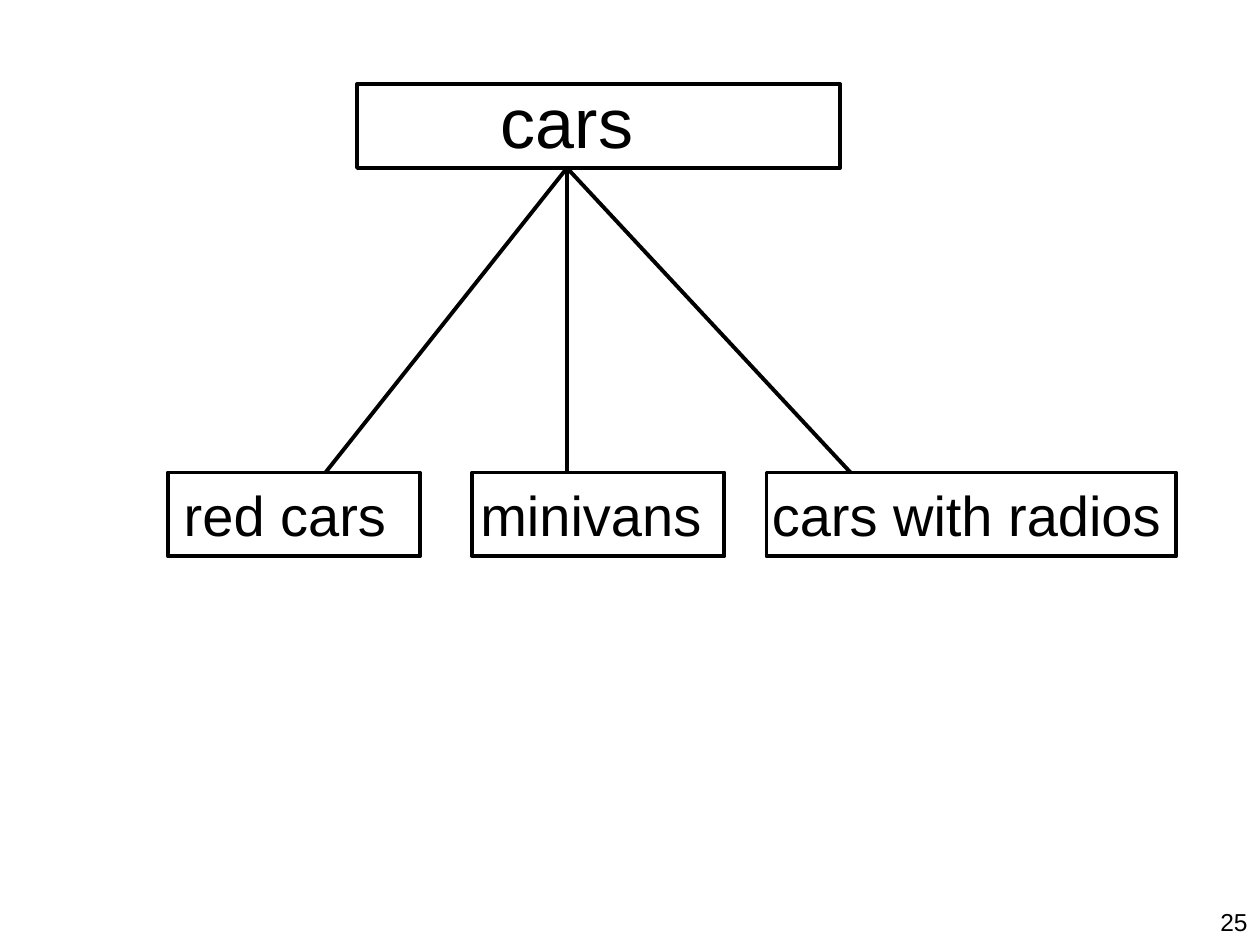
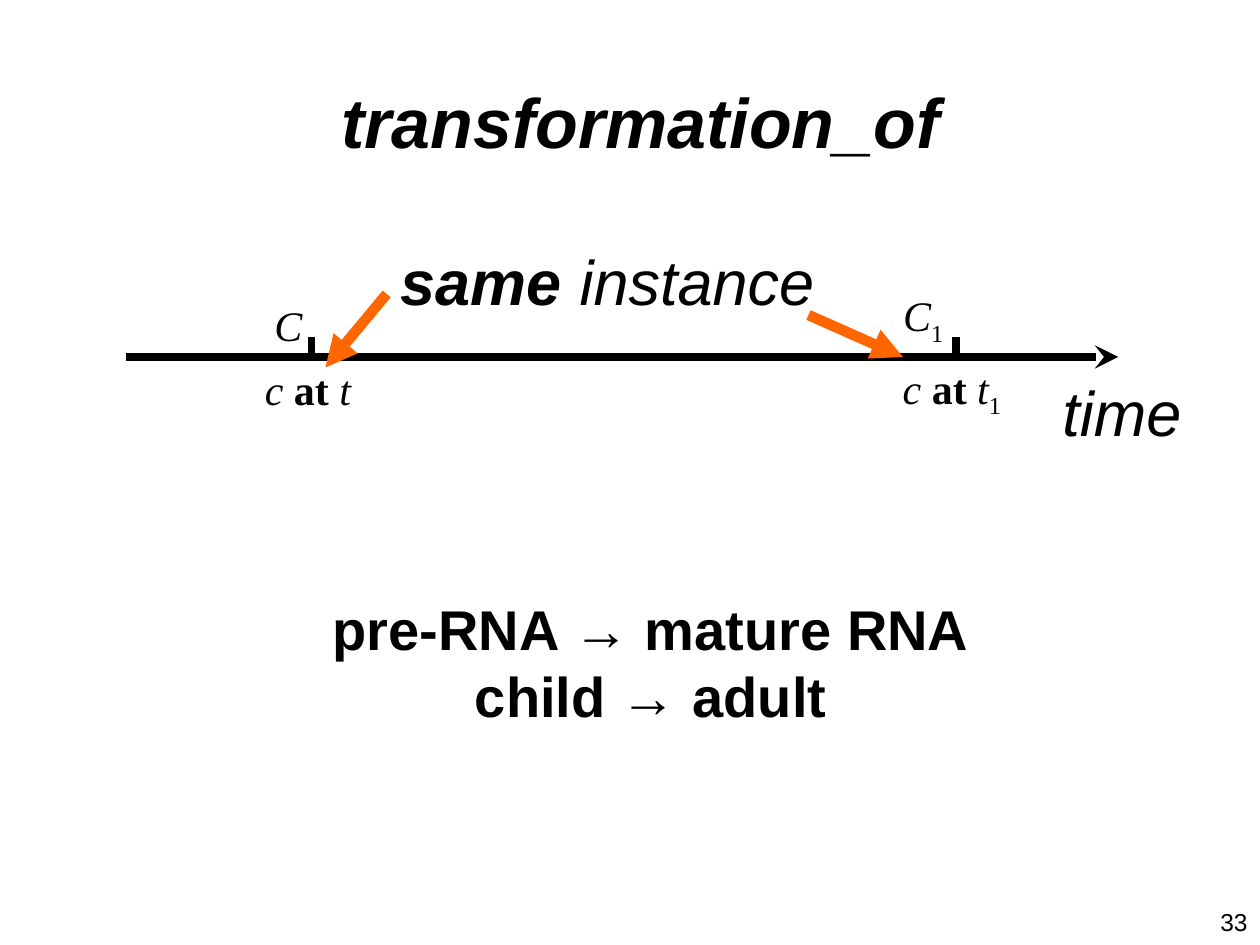
from pptx import Presentation
from pptx.dml.color import RGBColor
from pptx.enum.shapes import MSO_CONNECTOR, MSO_SHAPE
from pptx.enum.text import MSO_ANCHOR, PP_ALIGN
from pptx.oxml.ns import qn
from pptx.util import Pt
from lxml.etree import SubElement

HUES = {"ink": "000000", "mark": "FF6600"}
SANS, SERIF = "Arial", "Times New Roman"
PAD = (7.2, 3.6, 7.2, 3.6)


def color(name):
    return RGBColor.from_string(HUES[name])


def write(shape, lines, size, face=SANS, align=PP_ALIGN.LEFT,
          anchor=MSO_ANCHOR.TOP, pad=PAD, after=0):
    frame = shape.text_frame
    frame.word_wrap = True
    frame.vertical_anchor = anchor
    frame.margin_left, frame.margin_top, frame.margin_right, frame.margin_bottom = map(Pt, pad)
    for n, runs in enumerate(lines):
        para = frame.paragraphs[0] if n == 0 else frame.add_paragraph()
        para.alignment = align
        para.space_after = Pt(after)
        font = para.font
        font.name, font.size = face, Pt(size)
        font.color.rgb = color("ink")
        for text, style in runs:
            run = para.add_run()
            run.text = text
            run.font.bold = "b" in style
            run.font.italic = "i" in style
            if "s" in style:
                run._r.get_or_add_rPr().set("baseline", "-25000")


def label(slide, box, lines, size, **look):
    shape = slide.shapes.add_textbox(*map(Pt, box))
    write(shape, lines, size, **look)


def line(slide, start, end, width, hue="ink", tip=None):
    link = slide.shapes.add_connector(MSO_CONNECTOR.STRAIGHT, *map(Pt, start + end))
    link.line.width = Pt(width)
    link.line.color.rgb = color(hue)
    if tip:
        SubElement(link.line._get_or_add_ln(), qn("a:tailEnd"), type=tip)
    SubElement(link._element.spPr, qn("a:effectLst"))


def node(slide, box, text, size, **look):
    shape = slide.shapes.add_shape(MSO_SHAPE.RECTANGLE, *map(Pt, box))
    shape.shadow.inherit = False
    shape.fill.background()
    shape.line.width = Pt(2.25)
    shape.line.color.rgb = color("ink")
    write(shape, [[(text, "")]], size, anchor=MSO_ANCHOR.MIDDLE, **look)


def tree(slide, left, top):
    high, drop, hub = 48, 222, 228
    for end in (90, 390, hub):
        line(slide, (left + hub, top + high), (left + end, top + drop), 2.25)
    node(slide, (left + 108, top, 276, high), "cars", 40,
         align=PP_ALIGN.CENTER, pad=(0, 0, 36, 6.5))
    leaves = [(0, 144, 9, "red cars"), (174, 144, 4.5, "minivans"),
              (342, 234, 3, "cars with radios")]
    for x, wide, inset, text in leaves:
        node(slide, (left + x, top + drop, wide, high), text, 32,
             pad=(inset, 0, 0, 0))


def axis(slide, left, top):
    def at(x, y, *size):
        return (left + x, top + y) + size

    inner = (5.8, 2.9, 5.8, 2.9)
    event = [("c ", "i"), ("at ", "b"), ("t", "i")]
    label(slide, at(438, 0, 88, 37), [event + [("1", "s")]], 24, face=SERIF, pad=inner)
    line(slide, at(0, 0), at(567, 0), 4.5, tip="stealth")
    label(slide, at(79, -35.5, 70, 37), [[("C", "i")]], 24, face=SERIF, pad=inner)
    label(slide, at(73.5, 1, 76, 37), [event], 24, face=SERIF, pad=inner)
    for x in (106, 474.5):
        line(slide, at(x, -11.5), at(x, 0), 4.5)
    label(slide, at(437, -42, 90, 40), [[("C", "i"), ("1", "s")]], 24, face=SERIF)
    label(slide, at(528, 6, 112, 50), [[("time", "i")]], 36)
    label(slide, at(150, -69, 276, 50), [[("same ", "bi"), ("instance", "i")]], 36)
    for start, end in (((390, -24), (444, 0)), ((149, -36), (114, 6))):
        line(slide, at(*start), at(*end), 6, "mark", "triangle")


def title(slide, text):
    label(slide, (42, 24, 648, 90), [[(text, "bi")]], 40,
          align=PP_ALIGN.CENTER, anchor=MSO_ANCHOR.MIDDLE)


def footer(slide, page):
    label(slide, (552, 515, 168, 25), [[(page, "")]], 14, align=PP_ALIGN.RIGHT)


def kinds(slide):
    tree(slide, 96, 48)
    footer(slide, "25")


def change(slide):
    title(slide, "transformation_of")
    axis(slide, 72, 204)
    pairs = ("pre-RNA → mature RNA", "child → adult")
    label(slide, (174, 336, 396, 84), [[(pair, "b")] for pair in pairs], 32,
          align=PP_ALIGN.CENTER)
    footer(slide, "33")


def main():
    deck = Presentation()
    deck.slide_width, deck.slide_height = Pt(720), Pt(540)
    for build in (kinds, change):
        build(deck.slides.add_slide(deck.slide_layouts[6]))
    deck.save("out.pptx")


if __name__ == "__main__":
    main()
